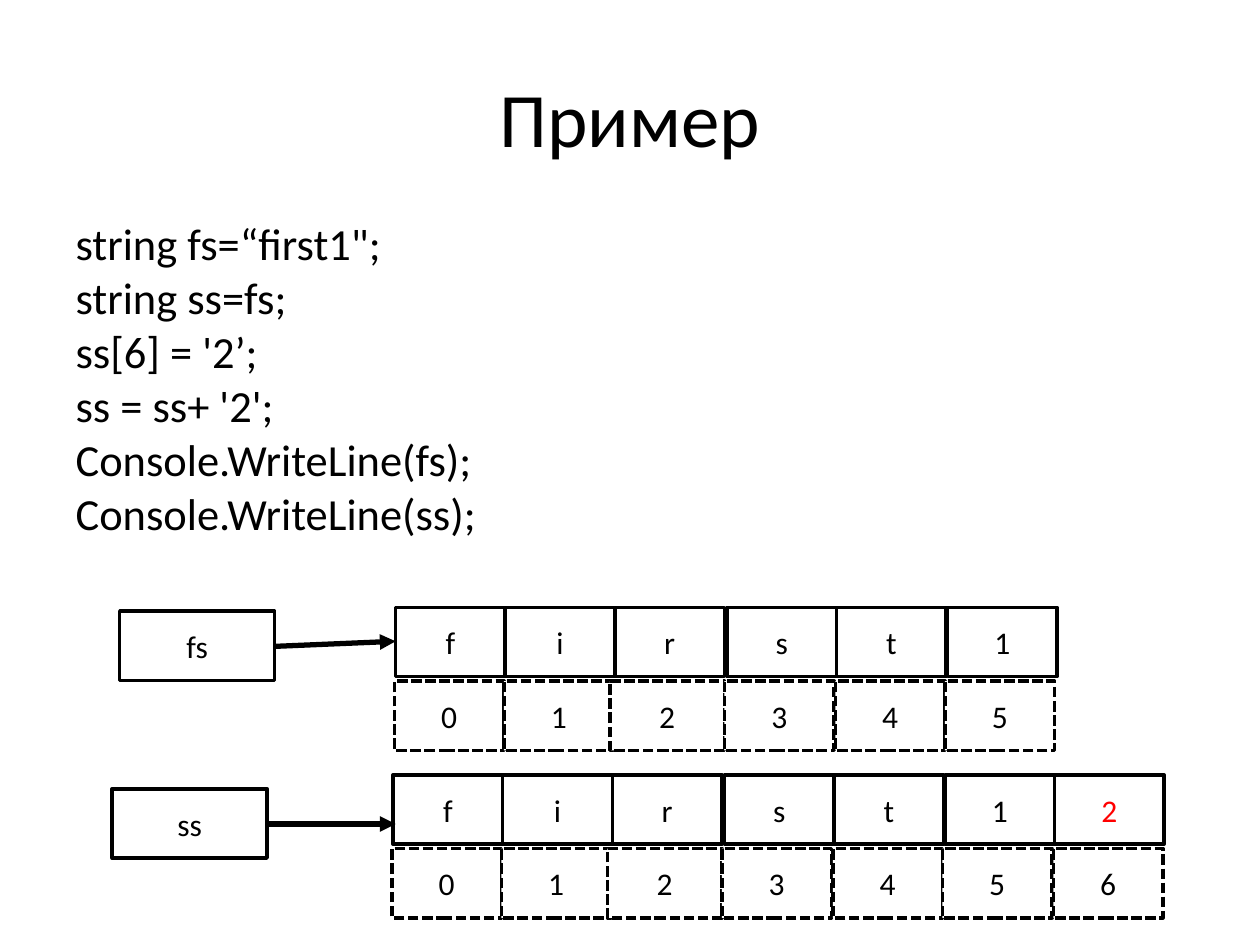
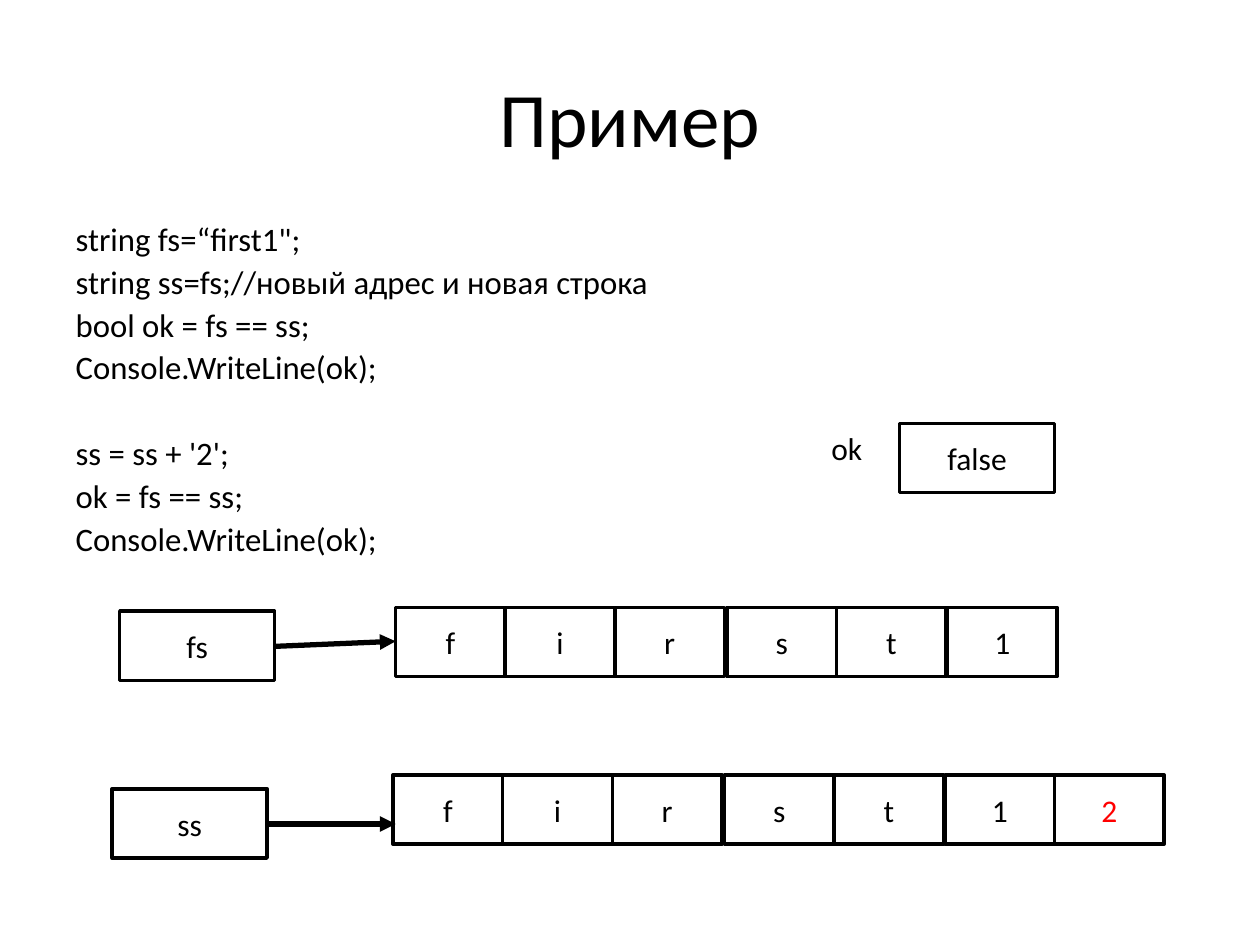
from lxml import etree
from pptx import Presentation
from pptx.dml.color import RGBColor
from pptx.enum.dml import MSO_LINE_DASH_STYLE as Dash
from pptx.enum.shapes import MSO_CONNECTOR as Connector, MSO_SHAPE as Shape
from pptx.enum.text import MSO_ANCHOR as Anchor, MSO_AUTO_SIZE as AutoSize, PP_ALIGN as Align
from pptx.oxml.ns import qn
from pptx.util import Inches, Pt

BLACK, WHITE, RED = "000000", "FFFFFF", "FF0000"
FONT = "Calibri"
CELL_WIDTH, CELL_HEIGHT, NAME_WIDTH = 0.87, 0.55, 1.23
LETTER_COLUMNS = [0, 0.87, 1.74, 2.63, 3.5, 4.38, 5.25]
INDEX_COLUMNS = [0, 0.87, 1.71, 2.62, 3.5, 4.37, 5.25]
INDEX_WIDTHS = {2: 0.91}
INDEX_SHIFT, INDEX_DROP = -0.01, 0.585
CODE_GAP = 6.4

# Variable name, its box, left and top of its letters, arrow ends, letters
STRINGS = [
    ("fs", (0.95, 4.85), (3.14, 4.82), (2.18, 5.13, 3.14, 5.09), "first1"),
    ("ss", (0.89, 6.26), (3.12, 6.15), (2.12, 6.54, 3.14, 6.54), "first12"),
]

# Each slide's code is a list of blocks, set apart by one line's height
SLIDES = [
    {
        "size": 25.4,
        "height": 2.63,
        "indexed": True,
        "blocks": [[
            "string fs=“first1\";",
            "string ss=fs;",
            "ss[6] = '2’;",
            "ss = ss+ '2';",
            "Console.WriteLine(fs);",
            "Console.WriteLine(ss);",
        ]],
    },
    {
        "size": 18.7,
        "height": 2.79,
        "result": "false",
        "blocks": [
            [
                "string fs=“first1\";",
                "string ss=fs;//новый адрес и новая строка",
                "bool ok = fs == ss;",
                "Console.WriteLine(ok);",
            ],
            [
                "ss = ss + '2';",
                "ok = fs == ss;",
                "Console.WriteLine(ok);",
            ],
        ],
    },
]


def write(para, text, size=18, colour=BLACK, align=Align.CENTER):
    para.text = text
    para.alignment = align
    for name, value in {"name": FONT, "size": Pt(size)}.items():
        setattr(para.font, name, value)
    para.font.color.rgb = RGBColor.from_string(colour)


def draw_cell(page, text, left, top, width=CELL_WIDTH, colour=BLACK, dash=None):
    cell = page.shapes.add_shape(
        Shape.RECTANGLE, Inches(left), Inches(top), Inches(width), Inches(CELL_HEIGHT))
    cell.shadow.inherit = False
    cell.fill.solid()
    cell.fill.fore_color.rgb = RGBColor.from_string(WHITE)
    cell.line.color.rgb = RGBColor.from_string(BLACK)
    cell.line.width = Pt(2)
    if dash:
        cell.line.dash_style = dash
    cell.text_frame.vertical_anchor = Anchor.MIDDLE
    write(cell.text_frame.paragraphs[0], text, colour=colour)


deck = Presentation()
deck.slide_width, deck.slide_height = Inches(10), Inches(7.5)

for content in SLIDES:
    page = deck.slides.add_slide(deck.slide_layouts[1])
    title, body = page.shapes.title, page.placeholders[1]
    for holder, top, height in ((title, 0.3, 1.25), (body, 1.75, content["height"])):
        places = {"left": 0.5, "top": top, "width": 9, "height": height}
        for name, value in places.items():
            setattr(holder, name, Inches(value))
        holder.text_frame.auto_size = AutoSize.NONE
    title.text_frame.vertical_anchor = Anchor.MIDDLE
    write(title.text_frame.paragraphs[0], "Пример", size=44)

    # Code
    size = content["size"]
    for block_number, block in enumerate(content["blocks"]):
        for line_number, line in enumerate(block):
            first = block_number == line_number == 0
            para = body.text_frame.paragraphs[0] if first else body.text_frame.add_paragraph()
            props = para._p.get_or_add_pPr()
            props.set("marL", "0")
            props.set("indent", "0")
            etree.SubElement(props, qn("a:buNone"))
            write(para, line, size=size, align=Align.LEFT)
            para.line_spacing = 0.8
            opens_block = line_number == 0 and block_number > 0
            blank_line = size * 1.22 * 0.8 + CODE_GAP if opens_block else 0
            para.space_before = Pt(0 if first else round(CODE_GAP + blank_line, 1))

    # Variables, arrows and character cells
    for variable, name_at, (left, top), ends, letters in STRINGS:
        draw_cell(page, variable, *name_at, width=NAME_WIDTH)
        for index, letter in enumerate(letters):
            if content.get("indexed"):
                draw_cell(page, str(index), left + INDEX_SHIFT + INDEX_COLUMNS[index],
                          top + INDEX_DROP, INDEX_WIDTHS.get(index, CELL_WIDTH),
                          dash=Dash.SQUARE_DOT)
            draw_cell(page, letter, left + LETTER_COLUMNS[index], top,
                      colour=RED if letter == "2" else BLACK)
        arrow = page.shapes.add_connector(Connector.STRAIGHT, *map(Inches, ends))
        arrow.line.color.rgb = RGBColor.from_string(BLACK)
        arrow.line.width = Pt(3)
        etree.SubElement(arrow.line._get_or_add_ln(), qn("a:tailEnd"), type="triangle")
        etree.SubElement(arrow._element.spPr, qn("a:effectLst"))

    # Comparison result
    if "result" in content:
        label = page.shapes.add_textbox(*map(Inches, (6.5, 3.36, 0.55, 0.4)))
        label.text_frame.word_wrap = True
        write(label.text_frame.paragraphs[0], "ok", align=Align.LEFT)
        draw_cell(page, content["result"], 7.14, 3.36, width=NAME_WIDTH)

deck.save("out.pptx")
